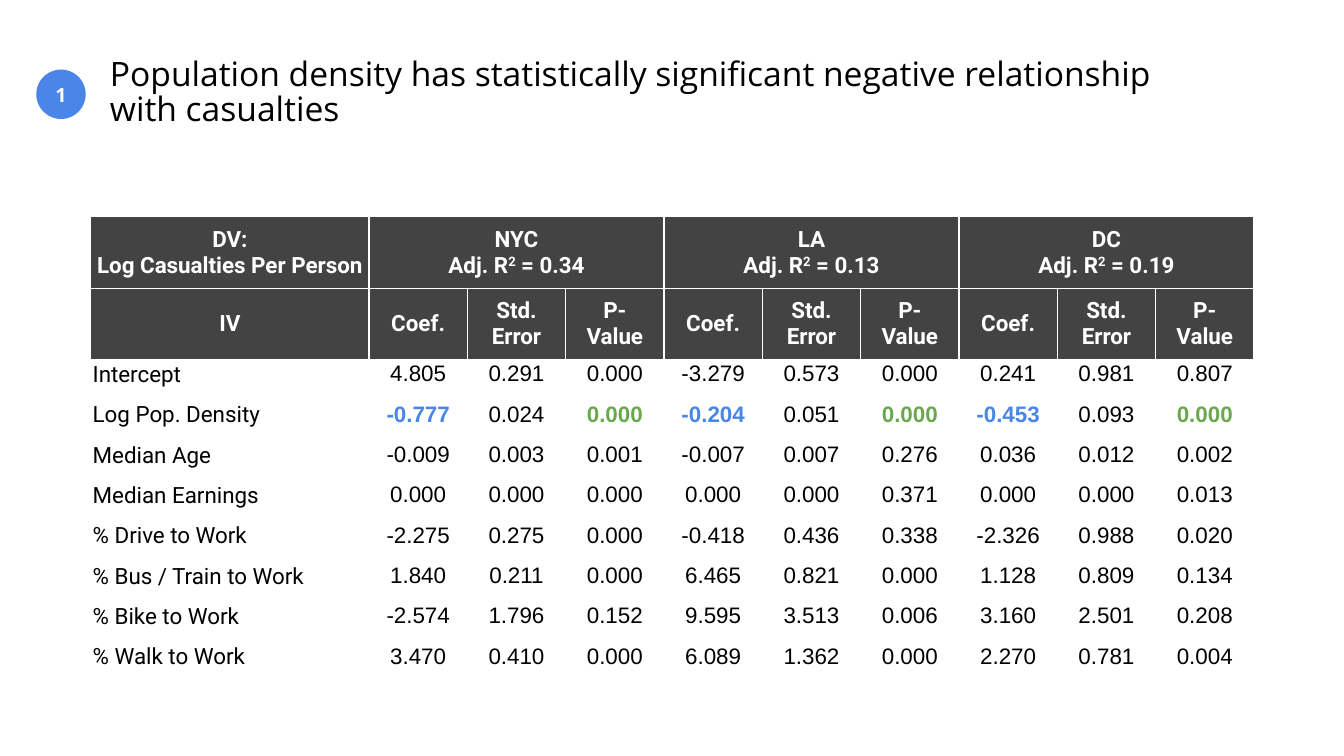
from lxml import etree
from pptx import Presentation
from pptx.dml.color import RGBColor
from pptx.enum.shapes import MSO_SHAPE
from pptx.enum.text import MSO_ANCHOR, MSO_AUTO_SIZE, PP_ALIGN
from pptx.oxml import parse_xml
from pptx.oxml.ns import nsdecls
from pptx.util import Inches, Pt

BLUE, GREEN, DARK = "4A86E8", "6AA84F", "434343"
BLACK, WHITE = "000000", "FFFFFF"

CITIES = [("NYC", "0.34"), ("LA", "0.13"), ("DC", "0.19")]
MEASURES = [["Coef."], ["Std. Error"], ["P-", "Value"]]
RESULTS = [
    ("Intercept", "4.805 0.291 0.000 -3.279 0.573 0.000 0.241 0.981 0.807"),
    ("Log Pop. Density", "-0.777 0.024 0.000 -0.204 0.051 0.000 -0.453 0.093 0.000"),
    ("Median Age", "-0.009 0.003 0.001 -0.007 0.007 0.276 0.036 0.012 0.002"),
    ("Median Earnings", "0.000 0.000 0.000 0.000 0.000 0.371 0.000 0.000 0.013"),
    ("% Drive to Work", "-2.275 0.275 0.000 -0.418 0.436 0.338 -2.326 0.988 0.020"),
    ("% Bus / Train to Work", "1.840 0.211 0.000 6.465 0.821 0.000 1.128 0.809 0.134"),
    ("% Bike to Work", "-2.574 1.796 0.152 9.595 3.513 0.006 3.160 2.501 0.208"),
    ("% Walk to Work", "3.470 0.410 0.000 6.089 1.362 0.000 2.270 0.781 0.004"),
]
KEY_ROW = "Log Pop. Density"
KEY_COLORS = [BLUE, None, GREEN]


def color(hex_string):
    return RGBColor.from_string(hex_string)


class SlideBuilder:
    heading_font, label_font, number_font = "Open Sans", "Roboto", "Arial"
    table_size = 16

    def __init__(self, slide):
        self.slide = slide

    def add_run(self, paragraph, text, font, size, hex_string, bold=False):
        run = paragraph.add_run()
        run.text = text
        run.font.name = font
        run.font.size = Pt(size)
        run.font.bold = bold
        run.font.color.rgb = color(hex_string)
        return run

    def set_margins(self, frame, inches):
        frame.margin_left = frame.margin_right = Inches(inches)
        frame.margin_top = frame.margin_bottom = Inches(inches)

    def title(self, text, left, top, width, height):
        shape = self.slide.shapes.title
        shape.left, shape.top = Inches(left), Inches(top)
        shape.width, shape.height = Inches(width), Inches(height)
        frame = shape.text_frame
        frame.word_wrap = True
        frame.auto_size = MSO_AUTO_SIZE.NONE
        frame.vertical_anchor = MSO_ANCHOR.TOP
        self.set_margins(frame, 0.1)
        paragraph = frame.paragraphs[0]
        paragraph.alignment = PP_ALIGN.LEFT
        paragraph.line_spacing = 0.87
        self.add_run(paragraph, text, self.heading_font, 24, BLACK)

    def badge(self, text, left, top, diameter):
        shape = self.slide.shapes.add_shape(
            MSO_SHAPE.OVAL, Inches(left), Inches(top), Inches(diameter), Inches(diameter))
        shape.shadow.inherit = False
        shape.fill.solid()
        shape.fill.fore_color.rgb = color(BLUE)
        shape.line.fill.background()
        frame = shape.text_frame
        self.set_margins(frame, 0.1)
        frame.vertical_anchor = MSO_ANCHOR.MIDDLE
        paragraph = frame.paragraphs[0]
        paragraph.alignment = PP_ALIGN.CENTER
        self.add_run(paragraph, text, self.heading_font, 14, WHITE, True)

    def table(self, left, top, column_widths, row_heights):
        frame = self.slide.shapes.add_table(
            len(row_heights), len(column_widths), Inches(left), Inches(top),
            Inches(sum(column_widths)), Inches(sum(row_heights)))
        table = frame.table
        table.first_row = table.horz_banding = False
        for column, width in zip(table.columns, column_widths):
            column.width = Inches(width)
        for row, height in zip(table.rows, row_heights):
            row.height = Inches(height)
        for cell in table.iter_cells():
            self.set_margins(cell, 0.02)
            self.cell_borders(cell)
            cell.fill.background()
        return table

    def cell_borders(self, cell):
        properties = cell._tc.get_or_add_tcPr()
        for position, side in enumerate(("lnL", "lnR", "lnT", "lnB")):
            border = parse_xml(f'<a:{side} {nsdecls("a")} w="12700"/>')
            fill = etree.SubElement(border, border.tag.replace(side, "solidFill"))
            etree.SubElement(fill, border.tag.replace(side, "srgbClr"), val=WHITE)
            properties.insert(position, border)

    def cell_text(self, cell, lines, font, hex_string, bold, alignment):
        """Each line is a string, or a list of runs whose second one is raised."""
        for number, line in enumerate(lines):
            frame = cell.text_frame
            paragraph = frame.add_paragraph() if number else frame.paragraphs[0]
            paragraph.alignment = alignment
            runs = [line] if isinstance(line, str) else line
            for index, text in enumerate(runs):
                run = self.add_run(paragraph, text, font, self.table_size, hex_string, bold)
                if index == 1:
                    run.font._element.set("baseline", "30000")

    def header_cell(self, cell, lines):
        cell.fill.solid()
        cell.fill.fore_color.rgb = color(DARK)
        cell.vertical_anchor = MSO_ANCHOR.MIDDLE
        self.cell_text(cell, lines, self.label_font, WHITE, True, PP_ALIGN.CENTER)

    def label_cell(self, cell, text):
        self.cell_text(cell, [text], self.label_font, BLACK, False, PP_ALIGN.LEFT)

    def number_cell(self, cell, text, accent=None):
        self.cell_text(cell, [text], self.number_font, accent or BLACK,
                       bool(accent), PP_ALIGN.CENTER)


def main():
    presentation = Presentation()
    presentation.slide_width, presentation.slide_height = Inches(13.33), Inches(7.5)
    builder = SlideBuilder(presentation.slides.add_slide(presentation.slide_layouts[5]))

    # Numbered heading
    builder.badge("1", 0.36, 0.69, 0.49)
    builder.title("Population density has statistically significant negative "
                  "relationship with casualties", 0.99, 0.48, 11.1, 0.92)

    # Table grid: one label column, then three measures for each city
    group = len(MEASURES)
    number_columns = group * len(CITIES)
    label_width, table_width = 2.76, 11.54
    number_width = (table_width - label_width) / number_columns
    table = builder.table(0.9, 2.15, [label_width] + [number_width] * number_columns,
                          [0.71] * 2 + [0.4] * len(RESULTS))

    # Header rows
    builder.header_cell(table.cell(0, 0), ["DV:", "Log Casualties Per Person"])
    builder.header_cell(table.cell(1, 0), ["IV"])
    for city_index, (city, fit) in enumerate(CITIES):
        first = 1 + city_index * group
        table.cell(0, first).merge(table.cell(0, first + group - 1))
        builder.header_cell(table.cell(0, first), [city, ["Adj. R", "2", f" = {fit}"]])
        for offset, measure in enumerate(MEASURES):
            builder.header_cell(table.cell(1, first + offset), measure)

    # Regression results
    for row, (label, numbers) in enumerate(RESULTS, start=2):
        builder.label_cell(table.cell(row, 0), label)
        for index, number in enumerate(numbers.split()):
            accent = KEY_COLORS[index % group] if label == KEY_ROW else None
            builder.number_cell(table.cell(row, index + 1), number, accent)

    presentation.save("out.pptx")


if __name__ == "__main__":
    main()
